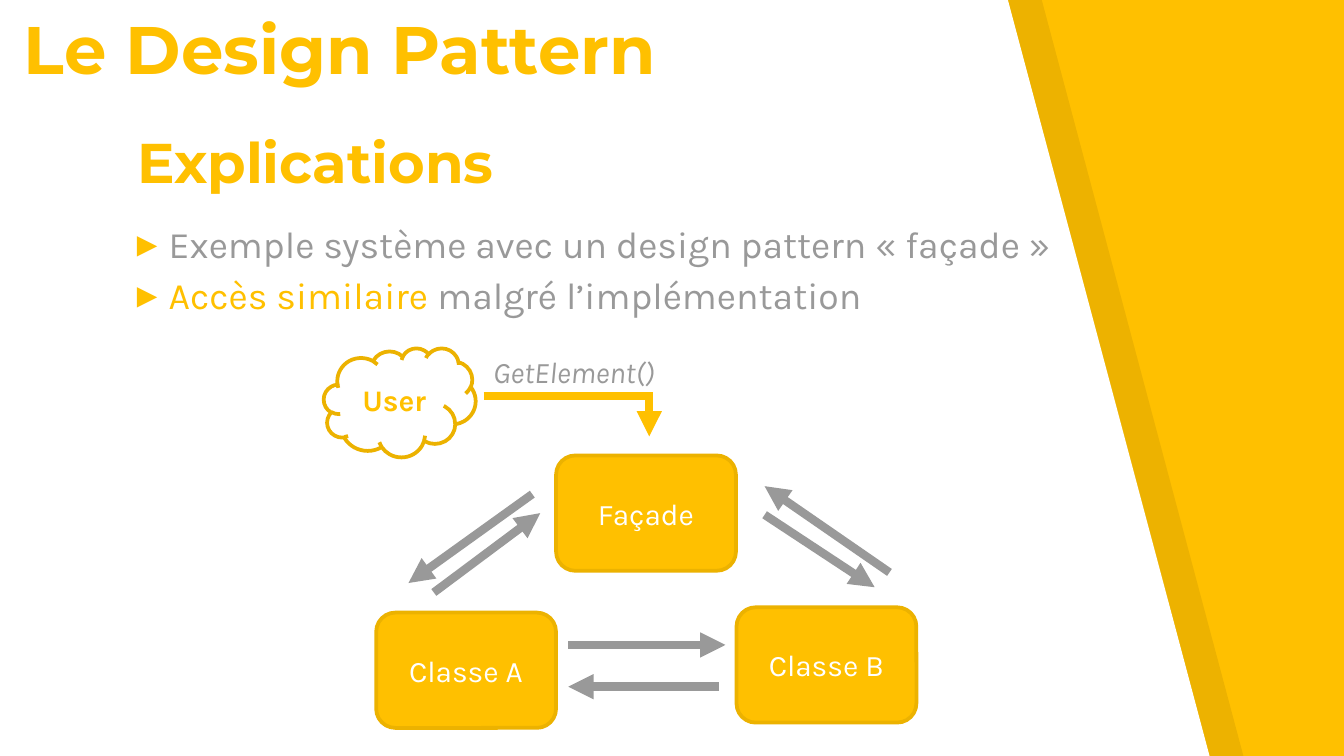
from lxml import etree
from pptx import Presentation
from pptx.dml.color import RGBColor
from pptx.enum.shapes import MSO_CONNECTOR as CONN, MSO_SHAPE as SHAPE
from pptx.enum.text import MSO_ANCHOR as ANCHOR, MSO_AUTO_SIZE as AUTO, PP_ALIGN as ALIGN
from pptx.oxml.ns import qn
from pptx.util import Cm, Pt

WIDTH, HEIGHT = 25.4, 14.29
GOLD, DARK_GOLD, GREY, WHITE = "FFC000", "ECB200", "999999", "FFFFFF"


def rgb(value):
    return RGBColor.from_string(value)


def add_xml(parent, tag, **attrs):
    return etree.SubElement(parent, qn(tag), attrs)


def set_font(font, name, size, color, bold=False, italic=False):
    font.name, font.size = name, Pt(size)
    font.bold, font.italic = bold, italic
    font.color.rgb = rgb(color)


def place(sp, box):
    sp.left, sp.top, sp.width, sp.height = map(Cm, box)


def set_frame(tf, anchor, inset=0.25):
    tf.word_wrap = True
    tf.auto_size = AUTO.NONE
    tf.vertical_anchor = anchor
    tf.margin_left = tf.margin_right = Cm(0.25)
    tf.margin_top = tf.margin_bottom = Cm(inset)


def add_background(s, box):
    left, top, width, height = box
    s.background.fill.solid()
    s.background.fill.fore_color.rgb = rgb(GOLD)
    for x, color, alpha in ((0.64, "000000", 7), (0, WHITE, 100)):
        start = left + x
        builder = s.shapes.build_freeform(Cm(start), Cm(top), scale=1.0)
        builder.add_line_segments([
            (Cm(start), Cm(top + height)),
            (Cm(start + 0.9 * width), Cm(top + height)),
            (Cm(start + 0.75 * width), Cm(top)),
        ])
        sp = builder.convert_to_shape()
        sp.shadow.inherit = False
        sp.fill.solid()
        sp.fill.fore_color.rgb = rgb(color)
        sp.line.fill.background()
        if alpha < 100:
            clr = sp.fill._xPr.find(qn("a:solidFill"))[0]
            add_xml(clr, "a:alpha", val=str(alpha * 1000))


def add_heading(sp, box, text, size):
    place(sp, box)
    tf = sp.text_frame
    set_frame(tf, ANCHOR.BOTTOM)
    p = tf.paragraphs[0]
    p.text = text
    p.alignment = ALIGN.LEFT
    set_font(p.font, "Montserrat", size, GOLD, bold=True)


def add_bullets(s, box, items):
    tf = s.shapes.add_textbox(*map(Cm, box)).text_frame
    set_frame(tf, ANCHOR.TOP)
    for i, runs in enumerate(items):
        p = tf.add_paragraph() if i else tf.paragraphs[0]
        p.space_before = Pt(3)
        pPr = p._p.get_or_add_pPr()
        pPr.set("marL", str(Cm(0.6)))
        pPr.set("indent", str(-Cm(0.6)))
        add_xml(add_xml(pPr, "a:buClr"), "a:srgbClr", val=GOLD)
        add_xml(pPr, "a:buSzPct", val="110000")
        add_xml(pPr, "a:buFont", typeface="Karla")
        add_xml(pPr, "a:buChar", char="▸")
        for text, color in runs:
            r = p.add_run()
            r.text = text
            set_font(r.font, "Karla", 20, color)


def add_node(s, kind, box, text, fill, color, bold=False):
    sp = s.shapes.add_shape(kind, *map(Cm, box))
    sp.shadow.inherit = False
    sp.fill.solid()
    sp.fill.fore_color.rgb = rgb(fill)
    sp.line.color.rgb = rgb(DARK_GOLD)
    sp.line.width = Pt(2)
    tf = sp.text_frame
    set_frame(tf, ANCHOR.MIDDLE, 0.13)
    p = tf.paragraphs[0]
    p.text = text
    p.alignment = ALIGN.CENTER
    set_font(p.font, "Karla", 16, color, bold=bold)


def add_arrow(s, start, end, color, head=True):
    line = s.shapes.add_connector(CONN.STRAIGHT, *map(Cm, start + end))
    line.line.color.rgb = rgb(color)
    line.line.width = Pt(4.5)
    if head:
        add_xml(line.line._get_or_add_ln(), "a:tailEnd", type="triangle")
    add_xml(line._element.spPr, "a:effectLst")


def add_diagram(s, box):
    left, top, width, height = box

    def at(x, y):
        return left + x, top + y

    add_node(s, SHAPE.CLOUD, at(0, 0.03) + (2.87, 2.06), "User", WHITE, GOLD, bold=True)
    node_w, node_h = 3.4, 2.18
    nodes = (
        ("Classe A", 0.99, height - node_h),
        ("Façade", 4.39, 2.06),
        ("Classe B", width - node_w, 4.93),
    )
    for text, x, y in nodes:
        add_node(s, SHAPE.ROUNDED_RECTANGLE, at(x, y) + (node_w, node_h), text, GOLD, WHITE)

    arrows = (
        (4.62, 5.64, 7.59, 5.64),
        (7.47, 6.43, 4.62, 6.43),
        (10.69, 4.27, 8.33, 2.64),
        (8.33, 3.18, 10.41, 4.55),
        (3.94, 2.79, 1.6, 4.47),
        (2.08, 4.65, 4.09, 3.15),
    )
    for x1, y1, x2, y2 in arrows:
        add_arrow(s, at(x1, y1), at(x2, y2), GREY)
    add_arrow(s, at(3.02, 0.94), at(6.22, 0.94), GOLD, head=False)
    add_arrow(s, at(6.15, 0.99), at(6.15, 1.7), GOLD)

    label = s.shapes.add_textbox(*map(Cm, at(2.95, 0) + (3.63, 0.94)))
    set_frame(label.text_frame, ANCHOR.TOP, 0.13)
    p = label.text_frame.paragraphs[0]
    p.text = "GetElement()"
    set_font(p.font, "Karla", 16, GREY, italic=True)


def main():
    prs = Presentation()
    prs.slide_width, prs.slide_height = Cm(WIDTH), Cm(HEIGHT)
    s = prs.slides.add_slide(prs.slide_layouts[5])
    title = s.shapes.title
    add_background(s, (0, 0, WIDTH, HEIGHT))
    s.shapes._spTree.append(title._element)
    add_heading(title, (2.34, 2.59, 14.78, 1.35), "Explications", 30)
    add_bullets(s, (2.34, 3.94, 19.18, 2.62), (
        (("Exemple système avec un design pattern « façade »", GREY),),
        (("Accès similaire ", GOLD), ("malgré l’implémentation", GREY)),
    ))
    box = (0.2, 0.56, 14.78, 1.35)
    add_heading(s.shapes.add_textbox(*map(Cm, box)), box, "Le Design Pattern", 36)
    add_diagram(s, (6.12, 6.55, 11.2, 7.21))
    prs.save("out.pptx")


if __name__ == "__main__":
    main()
